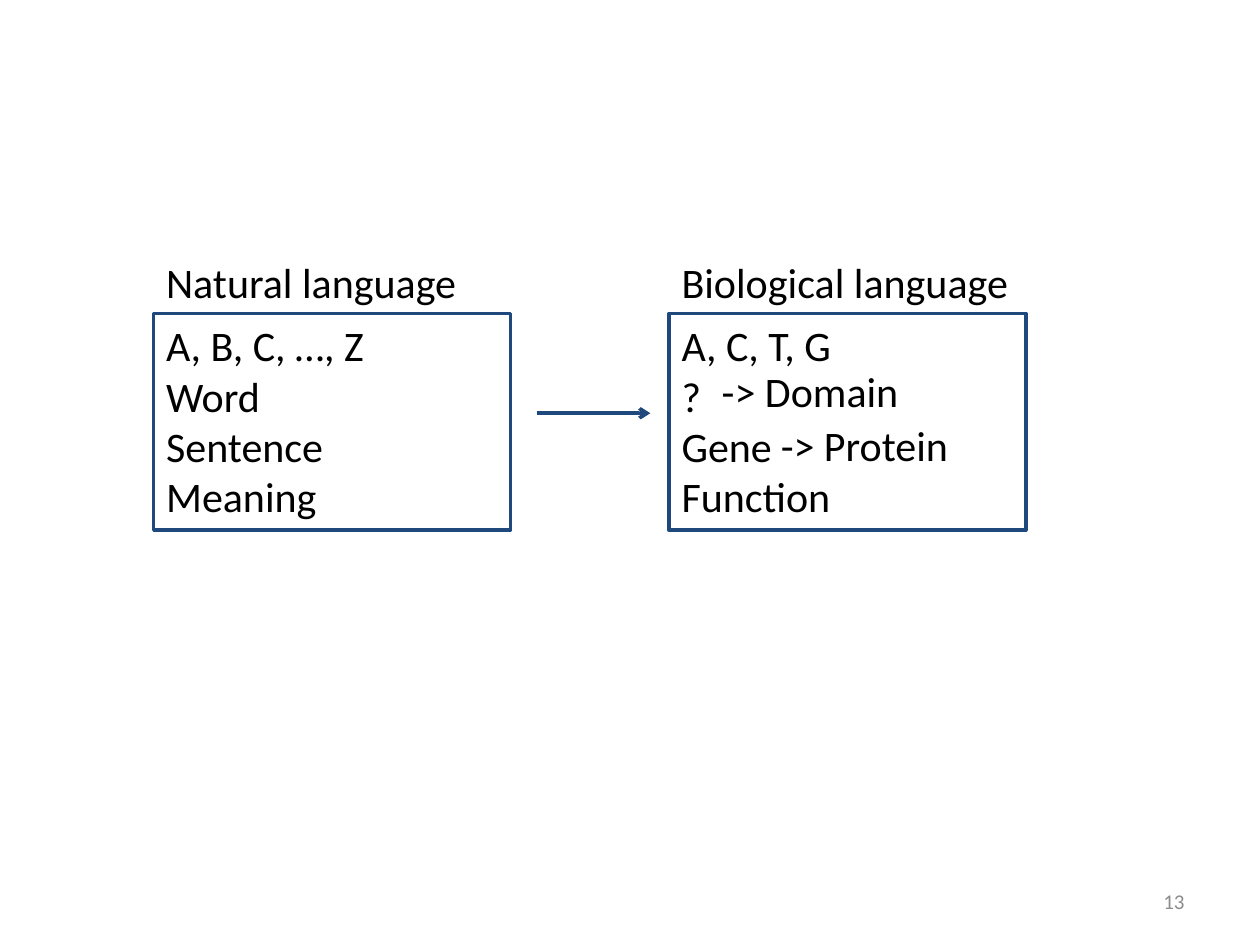
import pptx
import pptx.dml.color
import pptx.enum.shapes
import pptx.enum.text
import pptx.oxml
import pptx.util
from pptx.util import Cm

FONT = "Calibri"
COLORS = {"text": "000000", "line": "1F497D", "number": "8C8C8C"}

# heading, left edge in cm, lines in the box
LANGUAGES = [
    ("Natural language", 3.1, ["A, B, C, …, Z", "Word", "Sentence", "Meaning"]),
    ("Biological language", 13.49, ["A, C, T, G", "?", "Gene", "Function"]),
]
# text, left, top in cm
REFINEMENTS = [("-> Domain", 14.3, 7.24), ("-> Protein", 15.49, 8.33)]
PAGE_NUMBER = "13"

BOX_TOP, BOX_W, BOX_H = 6.32, 7.19, 4.37
LABEL_H = 1.27
ARROW_X, ARROW_Y = (10.82, 13.11), 8.33


def rgb(name):
    return pptx.dml.color.RGBColor.from_string(COLORS[name])


def add_text(s, text, x, y, w, h, size=24, color="text", align="LEFT", anchor="TOP"):
    tf = s.shapes.add_textbox(Cm(x), Cm(y), Cm(w), Cm(h)).text_frame
    tf.word_wrap = True
    tf.vertical_anchor = pptx.enum.text.MSO_ANCHOR[anchor]
    tf.text = text
    for p in tf.paragraphs:
        p.alignment = pptx.enum.text.PP_ALIGN[align]
        p.font.name = FONT
        p.font.size = pptx.util.Pt(size)
        p.font.color.rgb = rgb(color)


def style_line(line):
    line.color.rgb = rgb("line")
    line.width = pptx.util.Pt(2)


def add_frame(s, x, y, w, h):
    sp = s.shapes.add_shape(
        pptx.enum.shapes.MSO_SHAPE.RECTANGLE, Cm(x), Cm(y), Cm(w), Cm(h))
    sp.shadow.inherit = False
    sp.fill.background()
    style_line(sp.line)


def add_arrow(s, x1, x2, y):
    sp = s.shapes.add_connector(
        pptx.enum.shapes.MSO_CONNECTOR.STRAIGHT, Cm(x1), Cm(y), Cm(x2), Cm(y))
    style_line(sp.line)
    tail = pptx.oxml.parse_xml(
        '<a:tailEnd xmlns:a="http://schemas.openxmlformats.org/drawingml/2006/main"'
        ' type="arrow"/>')
    sp.line._get_or_add_ln().append(tail)
    effects = pptx.oxml.parse_xml(
        '<a:effectLst xmlns:a="http://schemas.openxmlformats.org/drawingml/2006/main"/>')
    sp._element.spPr.append(effects)


def main():
    prs = pptx.Presentation()
    prs.slide_width, prs.slide_height = Cm(25.4), Cm(19.05)
    s = prs.slides.add_slide(prs.slide_layouts[6])

    for heading, x, lines in LANGUAGES:
        add_text(s, heading, x, BOX_TOP - LABEL_H, BOX_W, LABEL_H)
        add_frame(s, x, BOX_TOP, BOX_W, BOX_H)
        add_text(s, "\n".join(lines), x, BOX_TOP, BOX_W, BOX_H)
    for text, x, y in REFINEMENTS:
        add_text(s, text, x, y, 5.41, LABEL_H)
    add_arrow(s, *ARROW_X, ARROW_Y)
    add_text(s, PAGE_NUMBER, 18.2, 17.66, 5.93, 1.01,
             size=12, color="number", align="RIGHT", anchor="MIDDLE")

    prs.save("out.pptx")


if __name__ == "__main__":
    main()
